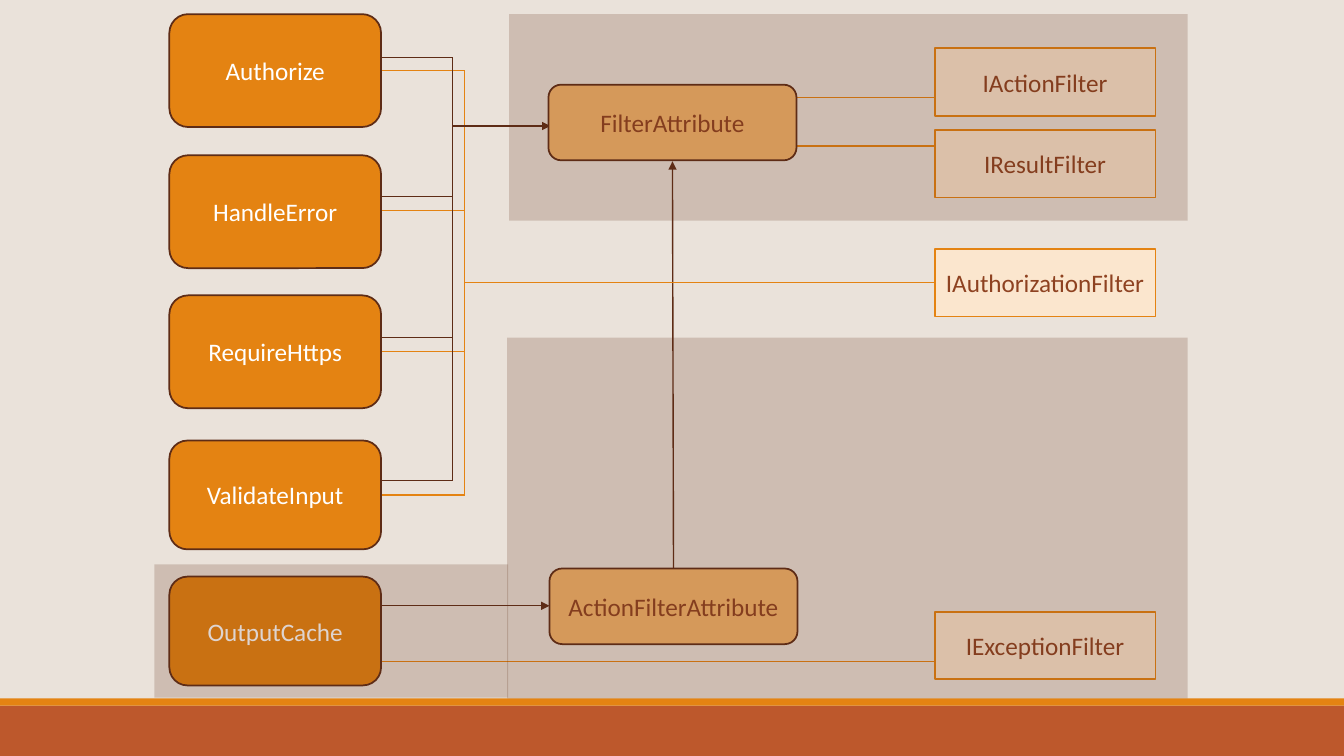
from dataclasses import dataclass

from lxml.etree import SubElement
from pptx import Presentation
from pptx.dml.color import RGBColor
from pptx.enum.shapes import MSO_CONNECTOR, MSO_SHAPE
from pptx.enum.text import MSO_ANCHOR, PP_ALIGN
from pptx.oxml.ns import qn
from pptx.shapes.autoshape import Shape
from pptx.slide import Slide
from pptx.util import Inches, Pt

COLORS = {
    "background": "EAE2DA",
    "footer": "BD582C",
    "orange": "E48312",
    "brown": "5E2C16",
    "base_class": "F3B56C",
    "interface": "FBE6CE",
    "label": "8E4221",
    "white": "FFFFFF",
}


@dataclass(frozen=True)
class Style:
    outline: MSO_SHAPE
    fill: str
    border: str
    text: str


@dataclass(frozen=True)
class Node:
    label: str
    left: float
    top: float
    width: float
    height: float
    style: Style


@dataclass(frozen=True)
class Link:
    start: tuple[float, float]
    end: tuple[float, float]
    color: str
    arrow: bool = False


@dataclass(frozen=True)
class Area:
    left: float
    top: float
    width: float
    height: float
    color: str
    opacity: int = 100


FILTER = Style(MSO_SHAPE.ROUNDED_RECTANGLE, "orange", "brown", "white")
BASE_CLASS = Style(MSO_SHAPE.ROUNDED_RECTANGLE, "base_class", "brown", "label")
INTERFACE = Style(MSO_SHAPE.RECTANGLE, "interface", "orange", "label")

FILTER_LEFT, FILTER_WIDTH = 1.68, 2.1
FILTER_RIGHT = FILTER_LEFT + FILTER_WIDTH
INTERFACE_LEFT = 9.27
BASE_RIGHT = 7.9
CLASS_TRUNK, INTERFACE_TRUNK = 4.49, 4.61

FOOTER_BANDS = [
    Area(0, 7, 13.33, 0.5, "footer"),
    Area(0, 6.93, 13.33, 0.07, "orange"),
]
SHADES = [
    Area(1.53, 5.6, 3.51, 1.32, "brown", 20),
    Area(5.03, 3.35, 6.75, 3.58, "brown", 20),
    Area(5.05, 0.14, 6.73, 2.05, "brown", 20),
]

FILTERS = [
    Node(label, FILTER_LEFT, top, FILTER_WIDTH, height, FILTER)
    for label, top, height in [
        ("Authorize", 0.14, 1.12),
        ("HandleError", 1.54, 1.12),
        ("RequireHttps", 2.93, 1.12),
        ("ValidateInput", 4.37, 1.08),
        ("OutputCache", 5.72, 1.08),
    ]
]
BASE_CLASSES = [
    Node("FilterAttribute", 5.44, 0.84, 2.46, 0.75, BASE_CLASS),
    Node("ActionFilterAttribute", 5.45, 5.64, 2.46, 0.75, BASE_CLASS),
]
INTERFACES = [
    Node(label, INTERFACE_LEFT, top, 2.19, 0.67, INTERFACE)
    for label, top in [
        ("IActionFilter", 0.48),
        ("IResultFilter", 1.29),
        ("IAuthorizationFilter", 2.47),
        ("IExceptionFilter", 6.07),
    ]
]


def branches(trunk: float, levels: list[float], color: str) -> list[Link]:
    """Return a vertical trunk and one branch to each filter."""
    return [
        Link((trunk, levels[0]), (trunk, levels[-1]), color),
        *(Link((FILTER_RIGHT, y), (trunk, y), color) for y in levels),
    ]


LINKS = [
    Link((6.68, 5.65), (6.67, 1.6), "brown", arrow=True),
    *(
        Link((left, y), (INTERFACE_LEFT, y), "orange")
        for left, y in [
            (BASE_RIGHT, 0.97),
            (BASE_RIGHT, 1.45),
            (FILTER_RIGHT, 6.56),
            (INTERFACE_TRUNK, 2.8),
        ]
    ),
    *branches(INTERFACE_TRUNK, [0.7, 2.09, 3.49, 4.91], "orange"),
    Link((FILTER_RIGHT, 6.01), (5.45, 6.01), "brown", arrow=True),
    Link((CLASS_TRUNK, 1.25), (5.46, 1.25), "brown", arrow=True),
    *branches(CLASS_TRUNK, [0.57, 1.95, 3.35, 4.77], "brown"),
]


def rgb(name: str) -> RGBColor:
    return RGBColor.from_string(COLORS[name])


def write_text(shape: Shape, text: str, *, color: str, size: float = 18,
               font: str = "Calibri") -> None:
    frame = shape.text_frame
    frame.word_wrap = True
    frame.vertical_anchor = MSO_ANCHOR.MIDDLE
    frame.margin_left = frame.margin_right = Inches(0.05)
    paragraph = frame.paragraphs[0]
    paragraph.alignment = PP_ALIGN.CENTER
    run = paragraph.add_run()
    run.text = text
    run.font.name = font
    run.font.size = Pt(size)
    run.font.color.rgb = rgb(color)


def add_filled(slide: Slide, outline: MSO_SHAPE, place: Area | Node,
               color: str) -> Shape:
    shape = slide.shapes.add_shape(
        outline, Inches(place.left), Inches(place.top),
        Inches(place.width), Inches(place.height))
    shape.shadow.inherit = False
    shape.fill.solid()
    shape.fill.fore_color.rgb = rgb(color)
    return shape


def add_area(slide: Slide, area: Area) -> None:
    shape = add_filled(slide, MSO_SHAPE.RECTANGLE, area, area.color)
    shape.line.fill.background()
    if area.opacity < 100:
        color = shape.fill._xPr.find(f".//{qn('a:srgbClr')}")
        SubElement(color, qn("a:alpha"), val=str(area.opacity * 1000))


def add_node(slide: Slide, node: Node) -> None:
    shape = add_filled(slide, node.style.outline, node, node.style.fill)
    shape.line.color.rgb = rgb(node.style.border)
    shape.line.width = Pt(1.25)
    write_text(shape, node.label, color=node.style.text)


def add_link(slide: Slide, link: Link) -> None:
    ends = [Inches(length) for length in (*link.start, *link.end)]
    connector = slide.shapes.add_connector(MSO_CONNECTOR.STRAIGHT, *ends)
    connector.line.color.rgb = rgb(link.color)
    connector.line.width = Pt(1)
    if link.arrow:
        SubElement(connector.line._get_or_add_ln(), qn("a:tailEnd"),
                   type="triangle")
    SubElement(connector._element.spPr, qn("a:effectLst"))


def main() -> None:
    presentation = Presentation()
    presentation.slide_width = Inches(13.33)
    presentation.slide_height = Inches(7.5)
    slide = presentation.slides.add_slide(presentation.slide_layouts[6])
    slide.background.fill.solid()
    slide.background.fill.fore_color.rgb = rgb("background")

    for band in FOOTER_BANDS:
        add_area(slide, band)
    for link in LINKS:
        add_link(slide, link)
    for node in FILTERS + BASE_CLASSES + INTERFACES:
        add_node(slide, node)
    for shade in SHADES:
        add_area(slide, shade)
    presentation.save("out.pptx")


if __name__ == "__main__":
    main()
